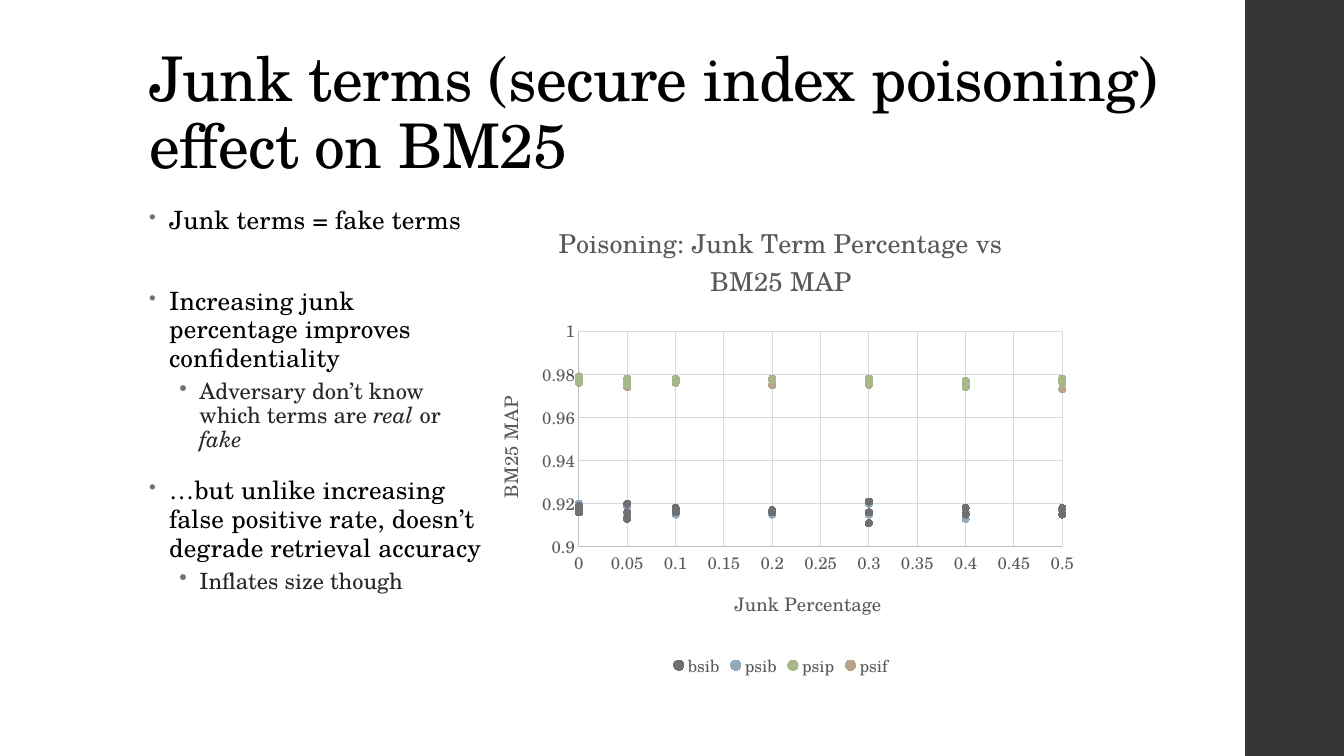
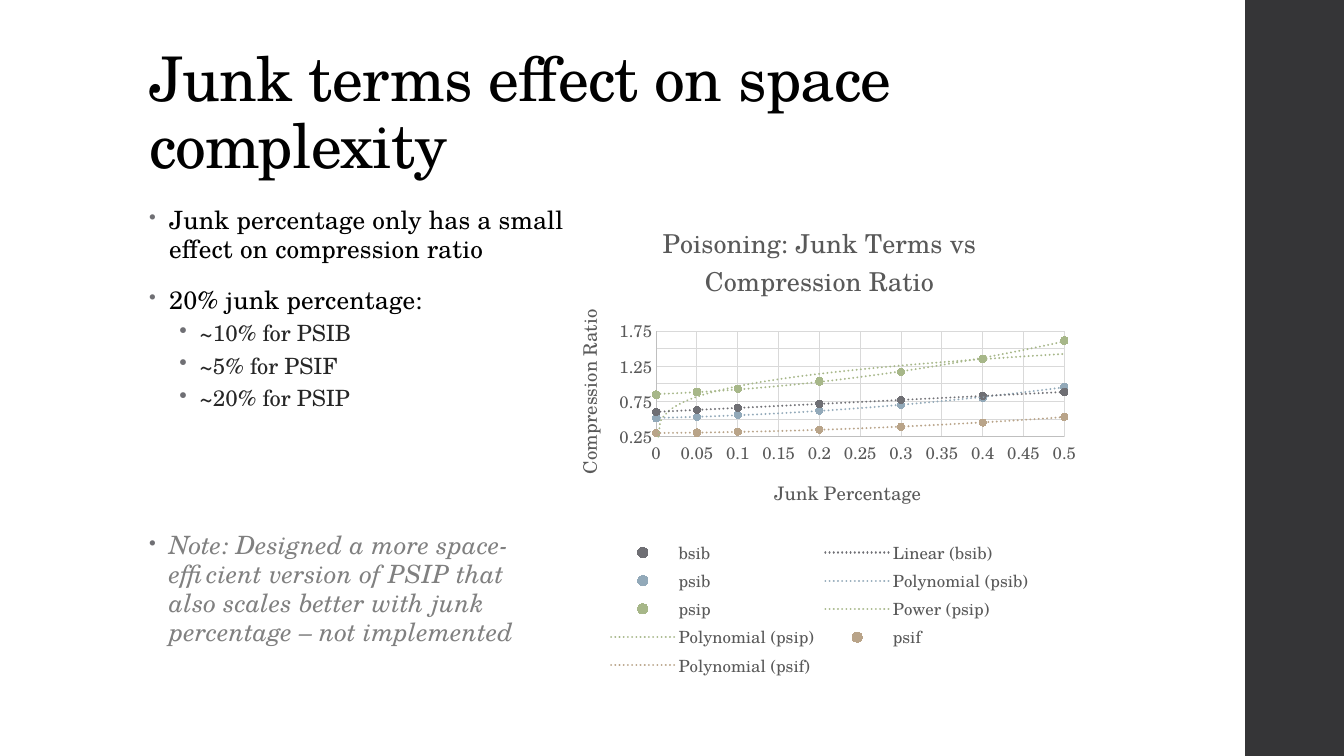
"""Build two slides on how junk terms affect BM25 accuracy and index size."""
import pptx
import pptx.chart.data
import pptx.dml.color
import pptx.enum.chart
import pptx.enum.dml
import pptx.enum.shapes
import pptx.enum.text
import pptx.oxml
import pptx.oxml.ns
import pptx.util

Inches = pptx.util.Inches
Pt = pptx.util.Pt
RGBColor = pptx.dml.color.RGBColor
qn = pptx.oxml.ns.qn
NS = pptx.oxml.ns.nsdecls("a", "c")

FONT = "TeX Gyre Schola"
BLACK = RGBColor(0x00, 0x00, 0x00)
WHITE = RGBColor(0xFF, 0xFF, 0xFF)
BAND = RGBColor(0x35, 0x35, 0x37)
SUBTEXT = RGBColor(0x26, 0x26, 0x26)
NOTE = RGBColor(0x80, 0x80, 0x80)
BULLET = RGBColor(0x6F, 0x6F, 0x74)
CHART_TEXT = RGBColor(0x59, 0x59, 0x59)
AXIS = RGBColor(0xBF, 0xBF, 0xBF)
GRID = RGBColor(0xD9, 0xD9, 0xD9)
INDEX_COLORS = {
    "bsib": RGBColor(0x6F, 0x6F, 0x74),
    "psib": RGBColor(0x92, 0xA9, 0xB9),
    "psip": RGBColor(0xA7, 0xB7, 0x89),
    "psif": RGBColor(0xB9, 0xA4, 0x89),
}

JUNK_LEVELS = [0, 0.1, 0.2, 0.3, 0.4, 0.5, 0.05]
RUNS_PER_LEVEL = 3

LEVELS = [
    dict(size=18, color=BLACK, spc=10, left=0.2, line=0.95, before=14, after=2, bullet=80),
    dict(size=16, color=SUBTEXT, spc=0, left=0.5, line=0.9, before=3, after=3, bullet=100),
]

SLIDES = [
    dict(
        title="Junk terms (secure index poisoning) effect on BM25",
        points=[
            (0, [("Junk terms = fake terms", False)], dict(after=23)),
            (0, [("Increasing junk\npercentage improves\nconfidentiality", False)], {}),
            (1, [("Adversary don’t know\nwhich terms are ", False), ("real", True),
                 (" or\n", False), ("fake", True)], {}),
            (0, [("…but unlike increasing\nfalse positive rate, doesn’t\n"
                  "degrade retrieval accuracy", False)], {}),
            (1, [("Inflates size though", False)], {}),
        ],
        chart_title="Poisoning: Junk Term Percentage vs BM25 MAP",
        value_title="BM25 MAP",
        chart_left=4.71,
        chart_width=6.07,
        plot=dict(x=0.17, y=0.27, w=0.79, h=0.45),
        scale=(0.9, 1, 0.02),
        values={
            "bsib": [0.919, 0.916, 0.918, 0.916, 0.917, 0.918, 0.917, 0.917, 0.916, 0.911, 0.916,
                     0.921, 0.918, 0.915, 0.915, 0.915, 0.918, 0.918, 0.916, 0.913, 0.92],
            "psib": [0.92, 0.916, 0.918, 0.915, 0.915, 0.918, 0.916, 0.915, 0.916, 0.911, 0.915,
                     0.92, 0.916, 0.913, 0.913, 0.915, 0.915, 0.917, 0.914, 0.913, 0.919],
            "psip": [0.979, 0.976, 0.978, 0.976, 0.978, 0.976, 0.977, 0.977, 0.977, 0.975, 0.976,
                     0.978, 0.977, 0.974, 0.976, 0.976, 0.977, 0.978, 0.977, 0.975, 0.978],
            "psif": [0.977, 0.976, 0.978, 0.977, 0.977, 0.978, 0.977, 0.978, 0.975, 0.975, 0.978,
                     0.976, 0.975, 0.975, 0.974, 0.973, 0.976, 0.976, 0.977, 0.974, 0.977],
        },
        trends={},
    ),
    dict(
        title="Junk terms effect on space complexity",
        points=[
            (0, [("Junk percentage only has a small\neffect on compression ratio", False)], {}),
            (0, [("20% junk percentage:", False)], {}),
            (1, [("~10% for PSIB", False)], {}),
            (1, [("~5% for PSIF", False)], {}),
            (1, [("~20% for PSIP", False)], dict(after=72)),
            (0, [("Note: Designed a more space-\nefficient version of PSIP that\n"
                  "also scales better with junk\npercentage – not implemented", True)],
             dict(color=NOTE)),
        ],
        chart_title="Poisoning: Junk Terms vs Compression Ratio",
        value_title="Compression Ratio",
        chart_left=5.48,
        chart_width=5.3,
        plot=dict(x=0.194, y=0.27, w=0.764, h=0.22),
        scale=(0.25, 1.75, 0.25),
        values={
            "bsib": [0.6, 0.6, 0.6, 0.66, 0.66, 0.66, 0.72, 0.71, 0.72, 0.77, 0.77,
                     0.77, 0.83, 0.83, 0.83, 0.88, 0.88, 0.89, 0.63, 0.63, 0.63],
            "psib": [0.51, 0.52, 0.51, 0.56, 0.56, 0.56, 0.62, 0.62, 0.62, 0.7, 0.7,
                     0.7, 0.81, 0.81, 0.8, 0.95, 0.96, 0.96, 0.53, 0.53, 0.53],
            "psip": [0.84, 0.85, 0.84, 0.93, 0.93, 0.93, 1.04, 1.03, 1.04, 1.17, 1.17,
                     1.17, 1.36, 1.36, 1.35, 1.61, 1.61, 1.62, 0.89, 0.88, 0.89],
            "psif": [0.3, 0.3, 0.3, 0.32, 0.32, 0.32, 0.35, 0.35, 0.35, 0.39, 0.39,
                     0.39, 0.45, 0.45, 0.45, 0.53, 0.53, 0.53, 0.31, 0.3, 0.31],
        },
        trends={"bsib": ["linear"], "psib": ["poly"], "psip": ["power", "poly"], "psif": ["poly"]},
    ),
]


def add_run(paragraph, text, size, color, spacing=0, italic=False):
    """Add one styled run to a paragraph."""
    run = paragraph.add_run()
    run.text = text
    run.font.name = FONT
    run.font.size = Pt(size)
    run.font.color.rgb = color
    run.font.bold = False
    run.font.italic = italic
    if spacing:
        run.font._element.set("spc", str(spacing))


def add_points(frame, points):
    """Fill a text frame with bulleted points on two levels."""
    for number, (level, runs, changes) in enumerate(points):
        style = {**LEVELS[level], **changes}
        point = frame.add_paragraph() if number else frame.paragraphs[0]
        point.level = level
        point.line_spacing = style["line"]
        point.space_before = Pt(style["before"])
        point.space_after = Pt(style["after"])
        properties = point._p.get_or_add_pPr()
        properties.set("marL", str(Inches(style["left"])))
        properties.set("indent", str(Inches(-0.2)))
        for xml in (
            f'<a:buClr {NS}><a:srgbClr val="{BULLET}"/></a:buClr>',
            f'<a:buSzPct {NS} val="{style["bullet"] * 1000}"/>',
            f'<a:buChar {NS} char="•"/>',
        ):
            properties.append(pptx.oxml.parse_xml(xml))
        for text, italic in runs:
            for line_number, line in enumerate(text.split("\n")):
                if line_number:
                    point.add_line_break()
                if line:
                    add_run(point, line, style["size"], style["color"], style["spc"], italic)


deck = pptx.Presentation()
deck.slide_width = Inches(13.33)
deck.slide_height = Inches(7.5)
junk_percentages = [level for level in JUNK_LEVELS for _ in range(RUNS_PER_LEVEL)]

for content in SLIDES:
    slide = deck.slides.add_slide(deck.slide_layouts[6])
    slide.background.fill.solid()
    slide.background.fill.fore_color.rgb = WHITE

    band = slide.shapes.add_shape(
        pptx.enum.shapes.MSO_SHAPE.RECTANGLE, Inches(12.35), 0, Inches(0.98), Inches(7.5))
    band.shadow.inherit = False
    band.fill.solid()
    band.fill.fore_color.rgb = BAND
    band.line.fill.background()

    heading = slide.shapes.add_textbox(Inches(1.38), Inches(0.4), Inches(10.6), Inches(1.45)).text_frame
    heading.word_wrap = True
    heading.vertical_anchor = pptx.enum.text.MSO_ANCHOR.BOTTOM
    heading.paragraphs[0].line_spacing = 0.9
    add_run(heading.paragraphs[0], content["title"], 44, BLACK, -50)

    body = slide.shapes.add_textbox(Inches(1.38), Inches(2), Inches(9.4), Inches(4.76)).text_frame
    body.word_wrap = True
    add_points(body, content["points"])

    measurements = pptx.chart.data.XyChartData()
    for index_name, values in content["values"].items():
        scores = measurements.add_series(index_name)
        for junk, value in zip(junk_percentages, values):
            scores.add_data_point(junk, value)
    chart = slide.shapes.add_chart(
        pptx.enum.chart.XL_CHART_TYPE.XY_SCATTER, Inches(content["chart_left"]), Inches(2),
        Inches(content["chart_width"]), Inches(4.76), measurements).chart
    chart.font.name = FONT
    chart.font.size = Pt(12)
    chart.font.color.rgb = CHART_TEXT
    chart.has_title = True
    add_run(chart.chart_title.text_frame.paragraphs[0], content["chart_title"], 18.6, CHART_TEXT)
    chart.has_legend = True
    chart.legend.position = pptx.enum.chart.XL_LEGEND_POSITION.BOTTOM
    chart.legend.include_in_layout = False
    chart.plots[0].vary_by_categories = False

    axes = [
        (chart.category_axis, "Junk Percentage", (0, 0.5, 0.05), 0),
        (chart.value_axis, content["value_title"], content["scale"], -5400000),
    ]
    for axis, axis_title, (low, high, step), rotation in axes:
        axis.minimum_scale = low
        axis.maximum_scale = high
        axis.major_unit = step
        axis.major_tick_mark = pptx.enum.chart.XL_TICK_MARK.NONE
        axis.minor_tick_mark = pptx.enum.chart.XL_TICK_MARK.NONE
        axis.has_major_gridlines = True
        for line, color in ((axis.format.line, AXIS), (axis.major_gridlines.format.line, GRID)):
            line.color.rgb = color
            line.width = Pt(0.75)
        caption = axis.axis_title.text_frame
        add_run(caption.paragraphs[0], axis_title, 13.3, CHART_TEXT)
        caption._txBody.find(qn("a:bodyPr")).set("rot", str(rotation))

    for series in chart.plots[0].series:
        color = INDEX_COLORS[series.name]
        series.format.line.fill.background()
        series.marker.style = pptx.enum.chart.XL_MARKER_STYLE.CIRCLE
        series.marker.size = 5
        series.marker.format.fill.solid()
        series.marker.format.fill.fore_color.rgb = color
        series.marker.format.line.color.rgb = color
        for trend in content["trends"].get(series.name, []):
            order = '<c:order val="2"/>' if trend == "poly" else ""
            series._element.find(qn("c:xVal")).addprevious(pptx.oxml.parse_xml(
                f'<c:trendline {NS}><c:spPr><a:ln w="{Pt(1.5)}" cap="rnd"><a:solidFill>'
                f'<a:srgbClr val="{color}"/></a:solidFill><a:prstDash val="sysDot"/></a:ln></c:spPr>'
                f'<c:trendlineType val="{trend}"/>{order}<c:dispRSqr val="0"/>'
                f'<c:dispEq val="0"/></c:trendline>'))

    plot_area = chart._chartSpace.find(qn("c:chart")).find(qn("c:plotArea"))
    for automatic in plot_area.findall(qn("c:layout")):
        plot_area.remove(automatic)
    place = "".join(f'<c:{side} val="{share}"/>' for side, share in content["plot"].items())
    plot_area.insert(0, pptx.oxml.parse_xml(
        f'<c:layout {NS}><c:manualLayout><c:layoutTarget val="inner"/><c:xMode val="edge"/>'
        f'<c:yMode val="edge"/>{place}</c:manualLayout></c:layout>'))

deck.save("out.pptx")
